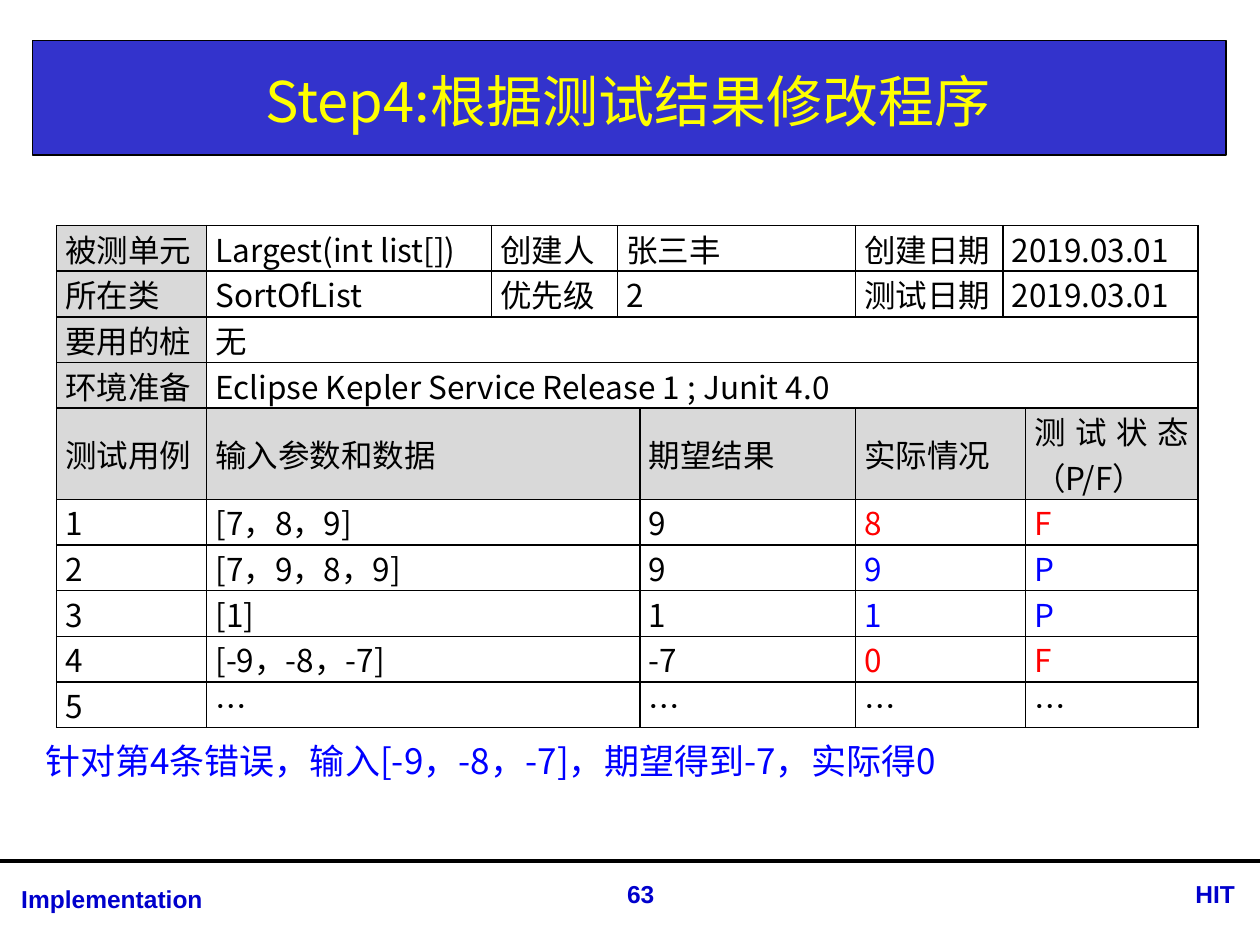
from dataclasses import dataclass

import pptx
import pptx.dml.color
import pptx.enum.shapes
import pptx.enum.text
import pptx.oxml
import pptx.oxml.ns
import pptx.presentation
import pptx.slide
import pptx.table
import pptx.text.text
import pptx.util

RGBColor = pptx.dml.color.RGBColor
Inches = pptx.util.Inches
Align = pptx.enum.text.PP_ALIGN
Anchor = pptx.enum.text.MSO_ANCHOR
qn = pptx.oxml.ns.qn

BLACK = RGBColor(0x00, 0x00, 0x00)
BANNER_BLUE = RGBColor(0x33, 0x33, 0xCC)
FOOTER_BLUE = RGBColor(0x00, 0x00, 0xCC)
PASS_BLUE = RGBColor(0x00, 0x00, 0xFF)
FAIL_RED = RGBColor(0xFF, 0x00, 0x00)
YELLOW = RGBColor(0xFF, 0xFF, 0x00)
GRAY = RGBColor(0xD9, 0xD9, 0xD9)

BODY_FONT = "Noto Sans CJK SC"
FOOTER_FONT = "Arial"

COLUMN_WIDTHS = (1.19, 2.26, 1, 0.18, 1.71, 1.17, 0.18, 1.37)
ROW_HEIGHT = 0.34
HEADING_HEIGHT = 0.67
INFO_SPANS = (1, 1, 1, 2, 1, 2)
WIDE_SPANS = (1, 7)
CASE_SPANS = (1, 3, 1, 2, 1)
STATUS_COLORS = {"P": PASS_BLUE, "F": FAIL_RED}


@dataclass
class TableRow:
    texts: tuple[str, ...]
    spans: tuple[int, ...]
    shaded: int = 0
    height: float = ROW_HEIGHT


@dataclass
class Label:
    text: str
    left: float
    top: float
    width: float
    height: float
    font: str
    size: int
    color: RGBColor
    bold: bool = False
    align: Align = Align.LEFT


TABLE_ROWS = [
    TableRow(("被测单元", "Largest(int list[])", "创建人", "张三丰", "创建日期", "2019.03.01"), INFO_SPANS, 1),
    TableRow(("所在类", "SortOfList", "优先级", "2", "测试日期", "2019.03.01"), INFO_SPANS, 1),
    TableRow(("要用的桩", "无"), WIDE_SPANS, 1),
    TableRow(("环境准备", "Eclipse Kepler Service Release 1 ; Junit 4.0"), WIDE_SPANS, 1),
    TableRow(("测试用例", "输入参数和数据", "期望结果", "实际情况", "测试状态（P/F）"), CASE_SPANS, 5, HEADING_HEIGHT),
    TableRow(("1", "[7，8，9]", "9", "8", "F"), CASE_SPANS),
    TableRow(("2", "[7，9，8，9]", "9", "9", "P"), CASE_SPANS),
    TableRow(("3", "[1]", "1", "1", "P"), CASE_SPANS),
    TableRow(("4", "[-9，-8，-7]", "-7", "0", "F"), CASE_SPANS),
    TableRow(("5", "…", "…", "…", "…"), CASE_SPANS),
]

LABELS = [
    Label("Implementation", 0.07, 6.97, 3.85, 0.34, FOOTER_FONT, 14, FOOTER_BLUE, True),
    Label("HIT", 8.87, 6.93, 1.03, 0.34, FOOTER_FONT, 14, FOOTER_BLUE, True, Align.RIGHT),
    Label("63", 4.57, 6.93, 1.03, 0.34, FOOTER_FONT, 14, FOOTER_BLUE, True, Align.CENTER),
    Label("针对第4条错误，输入[-9，-8，-7]，期望得到-7，实际得0",
          0.26, 5.82, 8.96, 0.44, BODY_FONT, 20, PASS_BLUE),
]


def write_text(text_frame: pptx.text.text.TextFrame, text: str, font: str, size: int,
               color: RGBColor, align: Align, bold: bool = False) -> None:
    text_frame.text = text
    text_frame.word_wrap = True
    paragraph = text_frame.paragraphs[0]
    paragraph.alignment = align
    for run in paragraph.runs:
        run.font.name = font
        run.font.size = pptx.util.Pt(size)
        run.font.bold = bold
        run.font.color.rgb = color
        latin = run.font._element.find(qn("a:latin"))
        east_asian = pptx.oxml.parse_xml(
            f'<a:ea {pptx.oxml.ns.nsdecls("a")} typeface="{font}"/>')
        latin.addnext(east_asian)


def draw_label(slide: pptx.slide.Slide, label: Label) -> None:
    box = slide.shapes.add_textbox(Inches(label.left), Inches(label.top),
                                   Inches(label.width), Inches(label.height))
    write_text(box.text_frame, label.text, label.font, label.size,
               label.color, label.align, label.bold)


def draw_banner(slide: pptx.slide.Slide) -> None:
    banner = slide.shapes.add_shape(pptx.enum.shapes.MSO_SHAPE.RECTANGLE,
                                    Inches(0.26), Inches(0.32), Inches(9.47), Inches(0.91))
    banner.shadow.inherit = False
    banner.fill.solid()
    banner.fill.fore_color.rgb = BANNER_BLUE
    banner.line.color.rgb = BLACK
    banner.line.width = pptx.util.Pt(0.75)


def draw_title(slide: pptx.slide.Slide, text: str) -> None:
    title = slide.shapes.title
    title.left, title.top = Inches(0.26), Inches(0.36)
    title.width, title.height = Inches(9.45), Inches(0.87)
    write_text(title.text_frame, text, BODY_FONT, 32, YELLOW, Align.CENTER)
    title.text_frame.vertical_anchor = Anchor.MIDDLE
    title._element.getparent().append(title._element)


def draw_footer_rule(slide: pptx.slide.Slide) -> None:
    rule = slide.shapes.add_connector(pptx.enum.shapes.MSO_CONNECTOR.STRAIGHT,
                                      Inches(0), Inches(6.83), Inches(10), Inches(6.83))
    rule.line.color.rgb = BLACK
    rule.line.width = pptx.util.Pt(2.25)
    rule._element.spPr.append(pptx.oxml.parse_xml(
        f'<a:effectLst {pptx.oxml.ns.nsdecls("a")}/>'))


def format_cell(cell: pptx.table._Cell) -> None:
    cell.margin_left = cell.margin_right = Inches(0.07)
    cell.margin_top = cell.margin_bottom = 0
    cell.vertical_anchor = Anchor.MIDDLE
    properties = cell._tc.get_or_add_tcPr()
    for side in ("lnL", "lnR", "lnT", "lnB"):
        properties.append(pptx.oxml.parse_xml(
            f'<a:{side} {pptx.oxml.ns.nsdecls("a")} w="12700"><a:solidFill>'
            f'<a:srgbClr val="{BLACK}"/></a:solidFill></a:{side}>'))
    cell.fill.background()


def fill_row(table: pptx.table.Table, index: int, row: TableRow) -> None:
    table.rows[index].height = Inches(row.height)
    status_color = STATUS_COLORS.get(row.texts[-1], BLACK)
    column = 0
    for position, (text, span) in enumerate(zip(row.texts, row.spans)):
        cell = table.cell(index, column)
        if span > 1:
            cell.merge(table.cell(index, column + span - 1))
        color = status_color if position >= 3 else BLACK
        write_text(cell.text_frame, text, BODY_FONT, 18, color, Align.JUSTIFY)
        if position < row.shaded:
            cell.fill.solid()
            cell.fill.fore_color.rgb = GRAY
        column += span


def draw_table(slide: pptx.slide.Slide) -> None:
    frame = slide.shapes.add_table(len(TABLE_ROWS), len(COLUMN_WIDTHS),
                                   Inches(0.45), Inches(1.79), Inches(sum(COLUMN_WIDTHS)),
                                   Inches(sum(row.height for row in TABLE_ROWS)))
    table = frame.table
    table.first_row = False
    table.horz_banding = False
    for column, width in zip(table.columns, COLUMN_WIDTHS):
        column.width = Inches(width)
    for cell in table.iter_cells():
        format_cell(cell)
    for index, row in enumerate(TABLE_ROWS):
        fill_row(table, index, row)


def main() -> None:
    presentation = pptx.Presentation()
    presentation.slide_width = Inches(10)
    presentation.slide_height = Inches(7.5)
    slide = presentation.slides.add_slide(presentation.slide_layouts[5])
    draw_banner(slide)
    draw_footer_rule(slide)
    draw_title(slide, "Step4:根据测试结果修改程序")
    draw_table(slide)
    for label in LABELS:
        draw_label(slide, label)
    presentation.save("out.pptx")


if __name__ == "__main__":
    main()
